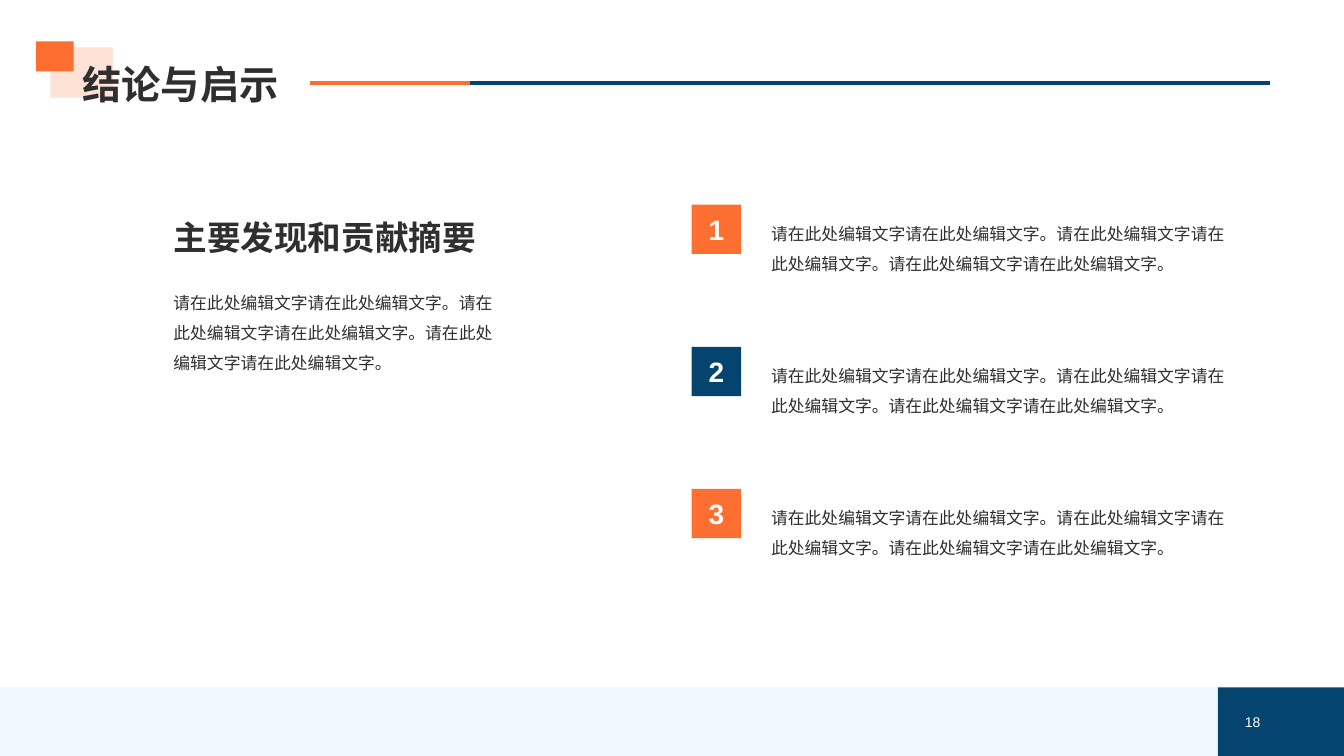
from dataclasses import dataclass

import pptx
import pptx.dml.color
import pptx.enum.shapes
import pptx.enum.text
import pptx.oxml
import pptx.oxml.ns
import pptx.util

Inches = pptx.util.Inches
ALIGN = pptx.enum.text.PP_ALIGN
ANCHOR = pptx.enum.text.MSO_ANCHOR

ORANGE, NAVY, SKY, INK, WHITE = "FC6F30", "04446E", "B3DFFC", "2F2F2F", "FFFFFF"
SENTENCE = "请在此处编辑文字请在此处编辑文字。"


@dataclass
class Box:
    left: float
    top: float
    width: float
    height: float

    def emu(self) -> list[int]:
        return [Inches(v) for v in (self.left, self.top, self.width, self.height)]


@dataclass
class Block:
    box: Box
    color: str
    alpha: int = 100


@dataclass
class Rule:
    start: float
    end: float
    color: str


def set_color(fmt, color: str) -> None:
    fmt.rgb = pptx.dml.color.RGBColor.from_string(color)


def write(sp, text: str, *, size: float, color: str = INK, bold: bool = False,
          align=ALIGN.LEFT, anchor=ANCHOR.TOP, spacing: float = 1.0,
          inset: tuple[float, float] = (0.1, 0.05), wrap: bool = True) -> None:
    tf = sp.text_frame
    tf.auto_size = pptx.enum.text.MSO_AUTO_SIZE.NONE
    tf.word_wrap = wrap
    tf.vertical_anchor = anchor
    tf.margin_left = tf.margin_right = Inches(inset[0])
    tf.margin_top = tf.margin_bottom = Inches(inset[1])
    p = tf.paragraphs[0]
    p.alignment = align
    p.line_spacing = spacing
    r = p.add_run()
    r.text = text
    r.font.name = "Arial"
    r.font.size = pptx.util.Pt(size)
    r.font.bold = bold
    set_color(r.font.color, color)


def add_text(slide, box: Box, text: str, **fmt) -> None:
    write(slide.shapes.add_textbox(*box.emu()), text, **fmt)


def add_block(slide, block: Block):
    sp = slide.shapes.add_shape(pptx.enum.shapes.MSO_SHAPE.RECTANGLE, *block.box.emu())
    sp.shadow.inherit = False
    sp.line.fill.background()
    sp.fill.solid()
    set_color(sp.fill.fore_color, block.color)
    if block.alpha < 100:
        clr = sp.fill._xPr.find(".//" + pptx.oxml.ns.qn("a:srgbClr"))
        alpha = pptx.oxml.parse_xml(
            f'<a:alpha {pptx.oxml.ns.nsdecls("a")} val="{block.alpha * 1000}"/>')
        clr.append(alpha)
    return sp


def add_rule(slide, rule: Rule, y: float) -> None:
    line = slide.shapes.add_connector(
        pptx.enum.shapes.MSO_CONNECTOR.STRAIGHT,
        Inches(rule.start), Inches(y), Inches(rule.end), Inches(y))
    set_color(line.line.color, rule.color)
    line.line.width = pptx.util.Pt(3)
    line._element.spPr.append(
        pptx.oxml.parse_xml(f'<a:effectLst {pptx.oxml.ns.nsdecls("a")}/>'))


def add_finding(slide, number: int, top: float, color: str) -> None:
    add_text(slide, Box(7.55, top + 0.05, 4.84, 0.67), SENTENCE * 3,
             size=12, spacing=1.5, anchor=ANCHOR.MIDDLE)
    badge = add_block(slide, Block(Box(6.86, top, 0.49, 0.49), color))
    write(badge, str(number), size=20, color=WHITE, bold=True, align=ALIGN.CENTER,
          anchor=ANCHOR.MIDDLE, inset=(0.12, 0.12), wrap=False)


def main() -> None:
    prs = pptx.Presentation()
    prs.slide_width, prs.slide_height = Inches(13.33), Inches(7.5)
    slide = prs.slides.add_slide(prs.slide_layouts[5])

    for block in (
        Block(Box(0, 6.82, 12.08, 0.68), SKY, 20),
        Block(Box(0.5, 0.47, 0.62, 0.5), ORANGE, 20),
        Block(Box(12.08, 6.82, 1.25, 0.68), NAVY),
        Block(Box(0.36, 0.41, 0.37, 0.3), ORANGE),
    ):
        add_block(slide, block)
    for rule in (Rule(4.66, 12.6, NAVY), Rule(3.07, 4.66, ORANGE)):
        add_rule(slide, rule, 0.82)

    add_text(slide, Box(1.6, 2.68, 3.45, 1.11), SENTENCE * 3,
             size=12, spacing=1.5, inset=(0.12, 0.12))
    add_text(slide, Box(1.6, 2.03, 3.45, 0.64), "主要发现和贡献摘要",
             size=24, bold=True, anchor=ANCHOR.BOTTOM, inset=(0.12, 0.12))

    for i, color in enumerate((ORANGE, NAVY, ORANGE)):
        add_finding(slide, i + 1, 2.03 + 1.41 * i, color)

    title = slide.shapes.title
    title.left, title.top, title.width, title.height = Box(0.72, 0, 11.88, 1.12).emu()
    write(title, "结论与启示", size=28, bold=True, anchor=ANCHOR.BOTTOM, spacing=0.9)
    slide.shapes._spTree.append(title._element)

    add_text(slide, Box(9.69, 7.04, 2.91, 0.24), "18", size=10, color=WHITE,
             align=ALIGN.RIGHT, anchor=ANCHOR.MIDDLE)
    prs.save("out.pptx")


if __name__ == "__main__":
    main()
